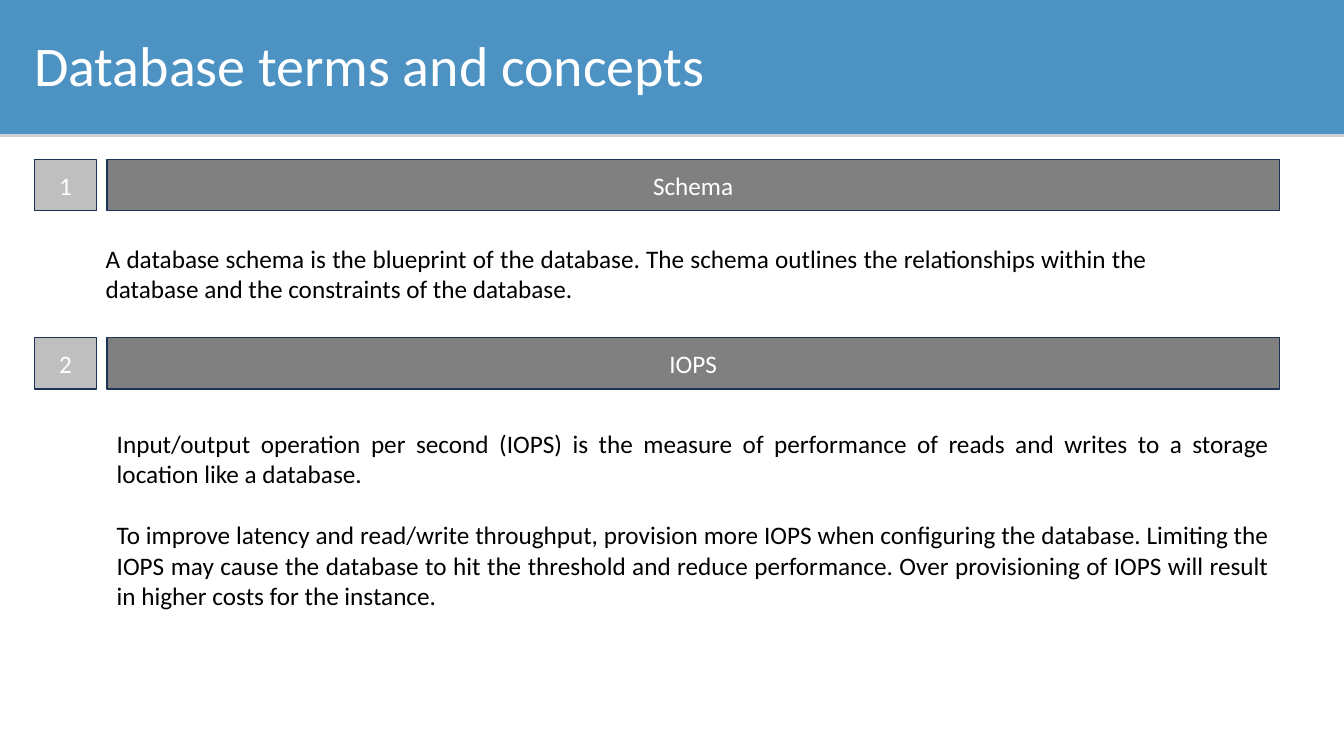
from lxml.etree import SubElement
from pptx import Presentation
from pptx.dml.color import RGBColor
from pptx.enum.shapes import MSO_SHAPE as SHAPE
from pptx.enum.text import MSO_ANCHOR as ANCHOR, MSO_AUTO_SIZE as AUTO, PP_ALIGN as ALIGN
from pptx.oxml.ns import qn
from pptx.util import Inches, Pt

COLORS = {
    "banner": "4C93C4", "number": "BFBFBF", "heading": "808080", "outline": "1E3256",
    "light": "FFFFFF", "dark": "000000", "shadow": "808080",
}
TERMS = [
    ("Schema", 1.58, (0.95, 2.36, 10.53, 0.71), [
        "A database schema is the blueprint of the database. The schema outlines the "
        "relationships within the database and the constraints of the database.",
    ]),
    ("IOPS", 3.35, (1.06, 4.2, 11.63, 1.92), [
        "Input/output operation per second (IOPS) is the measure of performance of reads "
        "and writes to a storage location like a database.",
        "To improve latency and read/write throughput, provision more IOPS when configuring "
        "the database. Limiting the IOPS may cause the database to hit the threshold and "
        "reduce performance. Over provisioning of IOPS will result in higher costs for "
        "the instance.",
    ]),
]


def apply(obj, values):
    """Set each named attribute of an object."""
    for name, value in values.items():
        setattr(obj, name, value)


class Deck:
    """Holds the text style and the current slide."""

    font = "Calibri"
    size = 18
    gap = 22

    def __init__(self, prs):
        """Add a title-only slide."""
        self.s = prs.slides.add_slide(prs.slide_layouts[5])

    def color(self, name):
        """Look up a colour by name."""
        return RGBColor.from_string(COLORS[name])

    def fill_text(self, tf, texts, color, align, size=None, **frame):
        """Fill a text frame with formatted paragraphs."""
        apply(tf, {"word_wrap": True, **frame})
        for i, text in enumerate(texts):
            p = tf.add_paragraph() if i else tf.paragraphs[0]
            apply(p, {"alignment": align, "line_spacing": 1.0,
                      "space_before": Pt(self.gap if i else 0)})
            r = p.add_run()
            r.text = text
            apply(r.font, {"name": self.font, "size": Pt(size or self.size)})
            r.font.color.rgb = self.color(color)

    def title(self, text, box):
        """Place and format the title placeholder."""
        sp = self.s.shapes.title
        apply(sp, dict(zip(("left", "top", "width", "height"), map(Inches, box))))
        self.fill_text(sp.text_frame, [text], "light", ALIGN.LEFT, 40,
                       vertical_anchor=ANCHOR.TOP, auto_size=AUTO.SHAPE_TO_FIT_TEXT)

    def rect(self, box, fill, line=None):
        """Add a flat rectangle."""
        sp = self.s.shapes.add_shape(SHAPE.RECTANGLE, *map(Inches, box))
        sp.shadow.inherit = False
        sp.fill.solid()
        sp.fill.fore_color.rgb = self.color(fill)
        if line:
            sp.line.color.rgb = self.color(line)
            sp.line.width = Pt(1)
        else:
            sp.line.fill.background()
        return sp

    def banner(self, box):
        """Add the shadowed band behind the title."""
        sp = self.rect(box, "banner")
        effects = sp.element.spPr.find(qn("a:effectLst"))
        shadow = SubElement(effects, qn("a:outerShdw"), dist=str(Pt(2)), dir="5400000",
                            algn="t", rotWithShape="0")
        tint = SubElement(shadow, qn("a:srgbClr"), val=COLORS["shadow"])
        SubElement(tint, qn("a:alpha"), val="35000")
        self.s.shapes.title.element.addprevious(sp.element)

    def label(self, text, box, fill):
        """Add an outlined box with a centred label."""
        sp = self.rect(box, fill, "outline")
        self.fill_text(sp.text_frame, [text], "light", ALIGN.CENTER,
                       vertical_anchor=ANCHOR.MIDDLE)

    def body(self, texts, box):
        """Add a justified text box."""
        sp = self.s.shapes.add_textbox(*map(Inches, box))
        self.fill_text(sp.text_frame, texts, "dark", ALIGN.JUSTIFY,
                       auto_size=AUTO.SHAPE_TO_FIT_TEXT)


def main():
    """Build and save the slide."""
    prs = Presentation()
    apply(prs, {"slide_width": Inches(13.33), "slide_height": Inches(7.5)})
    deck = Deck(prs)
    deck.banner((0, 0, 13.33, 1.33))
    deck.title("Database terms and concepts", (0.24, 0.25, 12.76, 0.77))
    for i, (term, top, box, texts) in enumerate(TERMS, 1):
        deck.label(str(i), (0.34, top, 0.62, 0.51), "number")
        deck.label(term, (1.06, top, 11.63, 0.51), "heading")
        deck.body(texts, box)
    prs.save("out.pptx")


if __name__ == "__main__":
    main()
